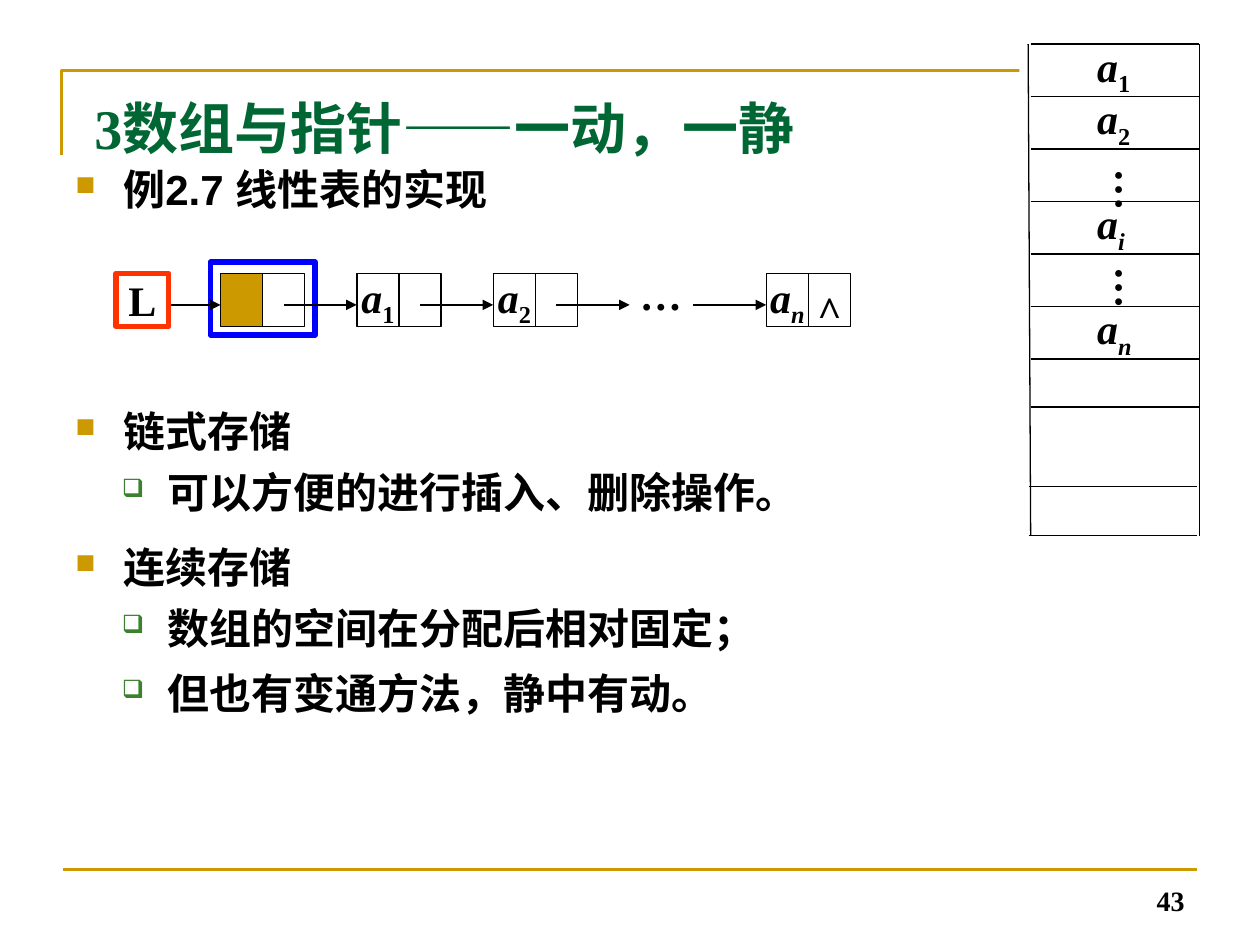
import pptx
import pptx.dml.color
import pptx.enum.shapes
import pptx.enum.text
import pptx.oxml
import pptx.oxml.ns
import pptx.util

Inches = pptx.util.Inches
Pt = pptx.util.Pt
RGBColor = pptx.dml.color.RGBColor
Align = pptx.enum.text.PP_ALIGN
Anchor = pptx.enum.text.MSO_ANCHOR
AutoSize = pptx.enum.text.MSO_AUTO_SIZE

BLACK = RGBColor(0x00, 0x00, 0x00)
WHITE = RGBColor(0xFF, 0xFF, 0xFF)
GOLD = RGBColor(0xCC, 0x99, 0x00)
TITLE_GREEN = RGBColor(0x00, 0x66, 0x33)
BULLET_GREEN = RGBColor(0x3B, 0x81, 0x2F)
BLUE = RGBColor(0x00, 0x00, 0xFF)
RED = RGBColor(0xFF, 0x33, 0x00)

SERIF = {"name": "Times New Roman", "size": Pt(24), "bold": True}
SANS = {**SERIF, "name": "Arial"}
BULLETS = [("■", GOLD, 65, 0.38, 0.38), ("❑", BULLET_GREEN, 60, 0.73, 0.36)]

NODE_LEFT, NODE_STEP, NODE_TOP = 1.75, 13 / 12, 2.17
CELL_WIDTH, CELL_HEIGHT, ARROW_Y = 1 / 3, 0.42, 2.42
ARRAY_LEFT, ARRAY_RIGHT, ARRAY_TOP, ROW_HEIGHT = 8.18, 9.52, 0.35, 5 / 12


class SlideBuilder:
    """Draws styled elements on the current slide."""

    def __init__(self, page):
        self.page = page

    def element(self, parent, tag, **attributes):
        child = pptx.oxml.parse_xml(f"<{tag} {pptx.oxml.ns.nsdecls('a')}/>")
        for name, value in attributes.items():
            child.set(name, value)
        parent.append(child)
        return child

    def span(self, para, text, style, color=BLACK, italic=False, subscript=False):
        span = para.add_run()
        span.text = text
        for name, value in {**style, "italic": italic}.items():
            setattr(span.font, name, value)
        span.font.color.rgb = color
        if subscript:
            span.font._element.set("baseline", "-25000")

    def symbol(self, para, base, index=""):
        self.span(para, base, SERIF, italic=bool(index))
        if index:
            self.span(para, index, SERIF, italic=index.isalpha(), subscript=True)

    def box(self, left, top, width, height, wrap=False, grow=True, anchor=Anchor.TOP):
        box = self.page.shapes.add_textbox(
            Inches(left), Inches(top), Inches(width), Inches(height))
        box.text_frame.word_wrap = wrap
        box.text_frame.vertical_anchor = anchor
        box.text_frame.auto_size = AutoSize.SHAPE_TO_FIT_TEXT if grow else AutoSize.NONE
        return box.text_frame

    def label(self, left, top, width, height, base, index=""):
        self.symbol(self.box(left, top, width, height).paragraphs[0], base, index)

    def vertical_dots(self, left, top):
        frame = self.box(left, top, 0.65, 0.49)
        frame._txBody.bodyPr.set("vert", "eaVert")
        frame.margin_left = frame.margin_right = Inches(0.05)
        frame.margin_top = frame.margin_bottom = Inches(0.1)
        self.span(frame.paragraphs[0], "…", SERIF, italic=True)

    def rectangle(self, left, top, width, height, fill=None, line=BLACK, weight=0.75):
        shape = self.page.shapes.add_shape(
            pptx.enum.shapes.MSO_SHAPE.RECTANGLE,
            Inches(left), Inches(top), Inches(width), Inches(height))
        shape.shadow.inherit = False
        if fill is None:
            shape.fill.background()
        else:
            shape.fill.solid()
            shape.fill.fore_color.rgb = fill
        if line is None:
            shape.line.fill.background()
        else:
            shape.line.color.rgb = line
            shape.line.width = Pt(weight)
        return shape

    def cell(self, left, base="", index="", fill=None, spacing=None):
        shape = self.rectangle(left, NODE_TOP, CELL_WIDTH, CELL_HEIGHT, fill)
        if base:
            frame = shape.text_frame
            frame.word_wrap = False
            frame.vertical_anchor = Anchor.MIDDLE
            para = frame.paragraphs[0]
            para.alignment = Align.CENTER
            para.line_spacing = spacing
            self.symbol(para, base, index)

    def line(self, x1, y1, x2, y2, color=BLACK, weight=0.75, arrow=False):
        line = self.page.shapes.add_connector(
            pptx.enum.shapes.MSO_CONNECTOR.STRAIGHT,
            Inches(x1), Inches(y1), Inches(x2), Inches(y2))
        line.line.color.rgb = color
        line.line.width = Pt(weight)
        if arrow:
            self.element(line.line._get_or_add_ln(), "a:tailEnd", type="triangle")
        self.element(line._element.spPr, "a:effectLst")

    def corner(self, left, bottom, top, right):
        builder = self.page.shapes.build_freeform(Inches(left), Inches(bottom))
        builder.add_line_segments(
            [(Inches(left), Inches(top)), (Inches(right), Inches(top))], close=False)
        shape = builder.convert_to_shape()
        shape.shadow.inherit = False
        shape.fill.background()
        shape.line.color.rgb = GOLD
        shape.line.width = Pt(1.5)

    def bullets(self, top, width, height, items):
        frame = self.box(0.5, top, width, height, wrap=True)
        for number, (level, text) in enumerate(items):
            para = frame.add_paragraph() if number else frame.paragraphs[0]
            mark, color, percent, margin, hanging = BULLETS[level]
            properties = para._p.get_or_add_pPr()
            properties.set("marL", str(Inches(margin)))
            properties.set("indent", str(-Inches(hanging)))
            tint = self.element(properties, "a:buClr")
            self.element(tint, "a:srgbClr", val=str(color))
            self.element(properties, "a:buSzPct", val=str(percent * 1000))
            self.element(properties, "a:buChar", char=mark)
            para.level = level
            if number:
                para.space_before = Pt(6)
            self.span(para, text, SANS)


def draw_linked_list(builder):
    builder.rectangle(1.67, 2.08, 0.83, 0.58, line=BLUE, weight=3)
    nodes = [(0, "", "", GOLD), (1, "a", "1", None), (2, "a", "2", None), (4, "a", "n", None)]
    for position, base, index, fill in nodes:
        left = NODE_LEFT + position * NODE_STEP
        builder.cell(left, base, index, fill)
        builder.cell(left + CELL_WIDTH, "^" if index == "n" else "", spacing=1.4)
    builder.line(1.33, ARROW_Y, NODE_LEFT, ARROW_Y, arrow=True)
    for position in range(4):
        start = NODE_LEFT + 0.5 + position * NODE_STEP
        builder.line(start, ARROW_Y, start + 0.58, ARROW_Y, arrow=True)
    builder.label(0.92, 2.13, 0.5, 0.5, "L")
    builder.label(4.98, 2.08, 0.61, 0.5, "…")
    builder.rectangle(0.92, NODE_TOP, 0.42, CELL_HEIGHT, line=RED, weight=3)


def draw_array(builder):
    builder.rectangle(8.09, 0.24, 1.5, 4.1, fill=WHITE, line=None)
    builder.line(ARRAY_RIGHT, ARRAY_TOP, ARRAY_RIGHT, 4.25)
    builder.line(8.16, ARRAY_TOP, ARRAY_LEFT, 4.25)
    for y in [ARRAY_TOP + row * ROW_HEIGHT for row in range(7)] + [3.23]:
        builder.line(ARRAY_LEFT, y, ARRAY_RIGHT, y)
    for y in (3.86, 4.25):
        builder.line(8.17, y, 9.5, y)
    for row, index in ((0, "1"), (1, "2"), (3, "i"), (5, "n")):
        builder.label(8.61, ARRAY_TOP + row * ROW_HEIGHT - 0.08, 0.51, 0.56, "a", index)
    for top in (1.25, 2.03):
        builder.vertical_dots(8.59, top)


def main():
    deck = pptx.Presentation()
    deck.slide_width, deck.slide_height = Inches(10), Inches(7.5)
    builder = SlideBuilder(deck.slides.add_slide(deck.slide_layouts[6]))
    builder.corner(0.49, 1.23, 0.56, 9.49)
    builder.line(0.5, 6.9, 9.5, 6.9, GOLD, 1.5)
    title = builder.box(0.65, 0.69, 9, 1.25, wrap=True, grow=False)
    builder.span(title.paragraphs[0], "3数组与指针——一动，一静",
                 {**SERIF, "size": Pt(32)}, TITLE_GREEN)
    draw_linked_list(builder)
    draw_array(builder)
    builder.bullets(1.25, 4.08, 0.5, [(0, "例2.7 线性表的实现")])
    builder.bullets(3.17, 9, 0.99, [(0, "链式存储"), (1, "可以方便的进行插入、删除操作。")])
    builder.bullets(4.25, 9, 0.99, [(0, "连续存储"), (1, "数组的空间在分配后相对固定；")])
    builder.bullets(5.25, 9, 0.5, [(1, "但也有变通方法，静中有动。")])
    number = builder.box(7.17, 6.83, 2.33, 0.5, wrap=True, grow=False, anchor=Anchor.BOTTOM)
    number.paragraphs[0].alignment = Align.RIGHT
    builder.span(number.paragraphs[0], "43", {**SERIF, "size": Pt(16)})
    deck.save("out.pptx")


if __name__ == "__main__":
    main()
